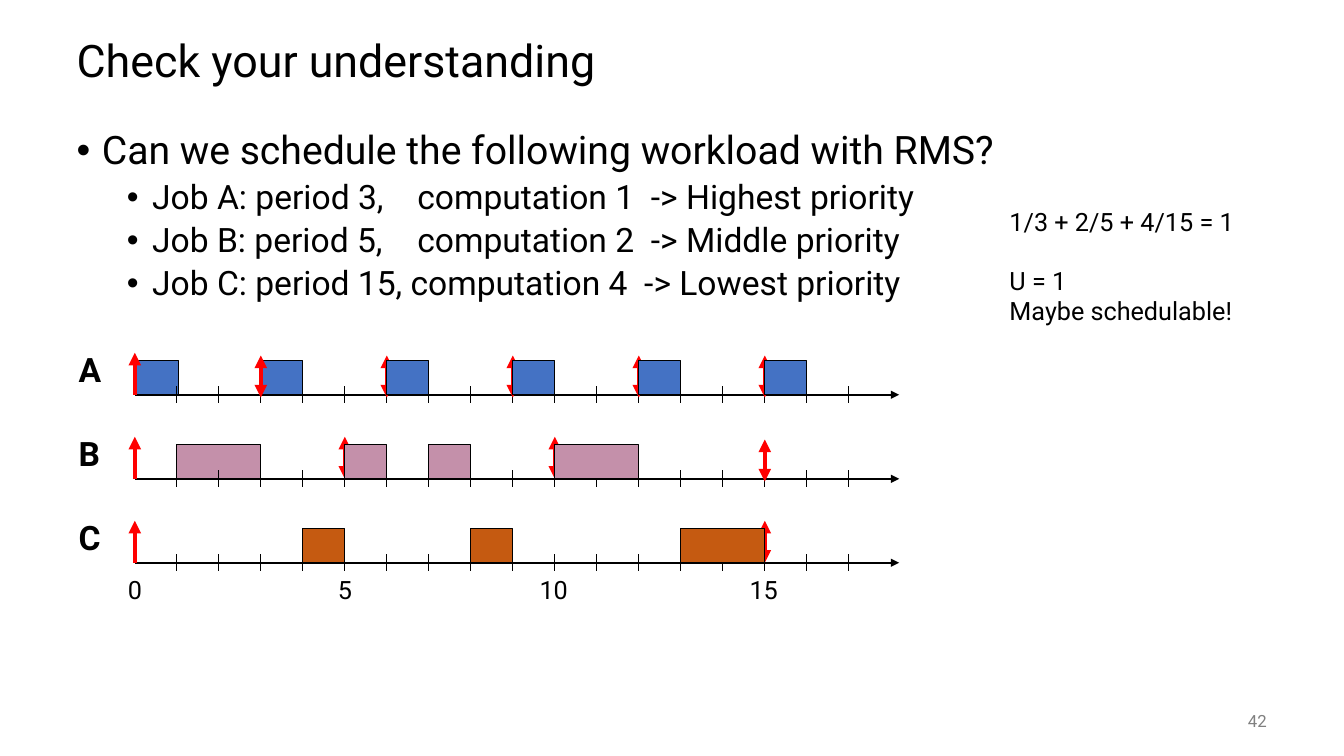
"""Build a slide that checks a rate-monotonic schedule of three periodic jobs."""
from lxml import etree
from pptx import Presentation
from pptx.dml.color import RGBColor
from pptx.enum import shapes, text
from pptx.oxml import ns
from pptx.util import Pt

FONT = "Roboto"
COLORS = {"ink": "000000", "number": "808080", "release": "FF0000",
          "A": "4472C4", "B": "C490AA", "C": "C55A11"}
ORIGIN, UNIT, TICKS = 96.3, 30, 17
AXES = {"A": 282, "B": 342, "C": 402}
EARLY_RUNS = {"A": [(0.05, 1), (3, 1)], "B": [(1, 2)], "C": [(4, 1)]}
LATE_RUNS = {"A": [(6, 1), (9, 1), (12, 1), (15, 1)],
             "B": [(5, 1), (7, 1), (10, 2)],
             "C": [(8, 1), (13, 2)]}
DEADLINES = {"A": [(t, 2) for t in range(3, 16, 3)],
             "B": [(5, 0), (10, 0), (15, 2)],
             "C": [(15, 0)]}
QUESTION = "Can we schedule the following workload with RMS?"
JOBS = ["Job A: period 3,\tcomputation 1  -> Highest priority",
        "Job B: period 5,\tcomputation 2  -> Middle priority",
        "Job C: period 15, computation 4  -> Lowest priority"]


def color(name):
    return RGBColor.from_string(COLORS[name])


def time_x(time):
    return ORIGIN + time * UNIT


def write(paragraph, wording, size, ink="ink", bold=False, align="LEFT",
          before=0, spacing=1.0):
    paragraph.text = wording
    paragraph.alignment = getattr(text.PP_ALIGN, align)
    paragraph.space_before = Pt(before)
    paragraph.line_spacing = spacing
    font = paragraph.font
    font.name, font.size, font.bold = FONT, Pt(size), bold
    font.color.rgb = color(ink)


def add_label(slide, left, top, width, height, wording, size,
              anchor="TOP", **style):
    frame = slide.shapes.add_textbox(Pt(left), Pt(top), Pt(width), Pt(height)).text_frame
    frame.word_wrap = True
    frame.vertical_anchor = getattr(text.MSO_ANCHOR, anchor)
    write(frame.paragraphs[0], wording, size, **style)
    return frame


def place(holder, left, top, width, height):
    holder.left, holder.top = Pt(left), Pt(top)
    holder.width, holder.height = Pt(width), Pt(height)
    holder.text_frame.auto_size = text.MSO_AUTO_SIZE.NONE
    return holder.text_frame


def set_bullet(paragraph, margin, tab=None):
    properties = paragraph._p.get_or_add_pPr()
    properties.set("marL", str(Pt(margin)))
    properties.set("indent", str(Pt(-18)))
    font = etree.SubElement(properties, ns.qn("a:buFont"))
    font.set("typeface", "Arial")
    etree.SubElement(properties, ns.qn("a:buChar")).set("char", "•")
    if tab:
        stops = etree.SubElement(properties, ns.qn("a:tabLst"))
        stop = etree.SubElement(stops, ns.qn("a:tab"))
        stop.set("pos", str(Pt(tab)))
        stop.set("algn", "l")


def add_line(slide, start, end, width, ink="ink", heads=()):
    line = slide.shapes.add_connector(
        shapes.MSO_CONNECTOR.STRAIGHT, *(Pt(value) for value in (*start, *end)))
    line.line.width = Pt(width)
    line.line.color.rgb = color(ink)
    for head in heads:
        etree.SubElement(line.line._get_or_add_ln(), ns.qn(head)).set("type", "triangle")
    etree.SubElement(line._element.spPr, ns.qn("a:effectLst"))


def add_axis(slide, axis):
    add_line(slide, (ORIGIN, axis), (time_x(18.2), axis), 1.5, heads=["a:tailEnd"])
    for tick in range(1, TICKS + 1):
        add_line(slide, (time_x(tick), axis - 6), (time_x(tick), axis + 6), 0.75)


def add_release(slide, time, bottom, heads):
    add_line(slide, (time_x(time), bottom), (time_x(time), bottom - 30), 3,
             "release", heads)


def add_runs(slide, runs):
    for job, spans in runs.items():
        for start, length in spans:
            run = slide.shapes.add_shape(
                shapes.MSO_SHAPE.RECTANGLE, Pt(time_x(start)), Pt(AXES[job] - 24.5),
                Pt(length * UNIT), Pt(24))
            run.shadow.inherit = False
            run.fill.solid()
            run.fill.fore_color.rgb = color(job)
            run.line.color.rgb = color("ink")
            run.line.width = Pt(0.75)


def add_question(slide):
    title = place(slide.shapes.title, 47.5, 18, 864, 54)
    title.vertical_anchor = text.MSO_ANCHOR.MIDDLE
    write(title.paragraphs[0], "Check your understanding", 32, spacing=0.9)
    body = place(slide.placeholders[1], 47.5, 90, 864, 396)
    question = body.paragraphs[0]
    set_bullet(question, 18)
    write(question, QUESTION, 28, spacing=0.9)
    for wording in JOBS:
        job = body.add_paragraph()
        job.level = 1
        set_bullet(job, 54, tab=243.4)
        write(job, wording, 24, before=5, spacing=0.9)


def add_schedule(slide):
    add_runs(slide, EARLY_RUNS)
    for job, axis in AXES.items():
        add_axis(slide, axis)
        add_label(slide, 49, axis - 36, 37.5, 36, job, 24, bold=True)
        add_release(slide, 0, axis, ["a:tailEnd"])
        for time, drop in DEADLINES[job]:
            add_release(slide, time, axis + drop, ["a:headEnd", "a:tailEnd"])
    for time in range(0, 16, 5):
        inset = 12 if time < 10 else 18
        add_label(slide, time_x(time) - inset, 406.5, 48, 29, str(time), 18)
    add_runs(slide, LATE_RUNS)


def main():
    deck = Presentation()
    deck.slide_width, deck.slide_height = Pt(960), Pt(540)
    slide = deck.slides.add_slide(deck.slide_layouts[1])
    add_question(slide)
    add_schedule(slide)
    utilization = add_label(slide, 714, 143.5, 198, 94, "1/3 + 2/5 + 4/15 = 1", 18)
    write(utilization.add_paragraph(), "U = 1", 18, before=21)
    write(utilization.add_paragraph(), "Maybe schedulable!", 18)
    add_label(slide, 840, 500.5, 72, 29, "42", 12, anchor="MIDDLE",
              ink="number", align="RIGHT")
    deck.save("out.pptx")


if __name__ == "__main__":
    main()
